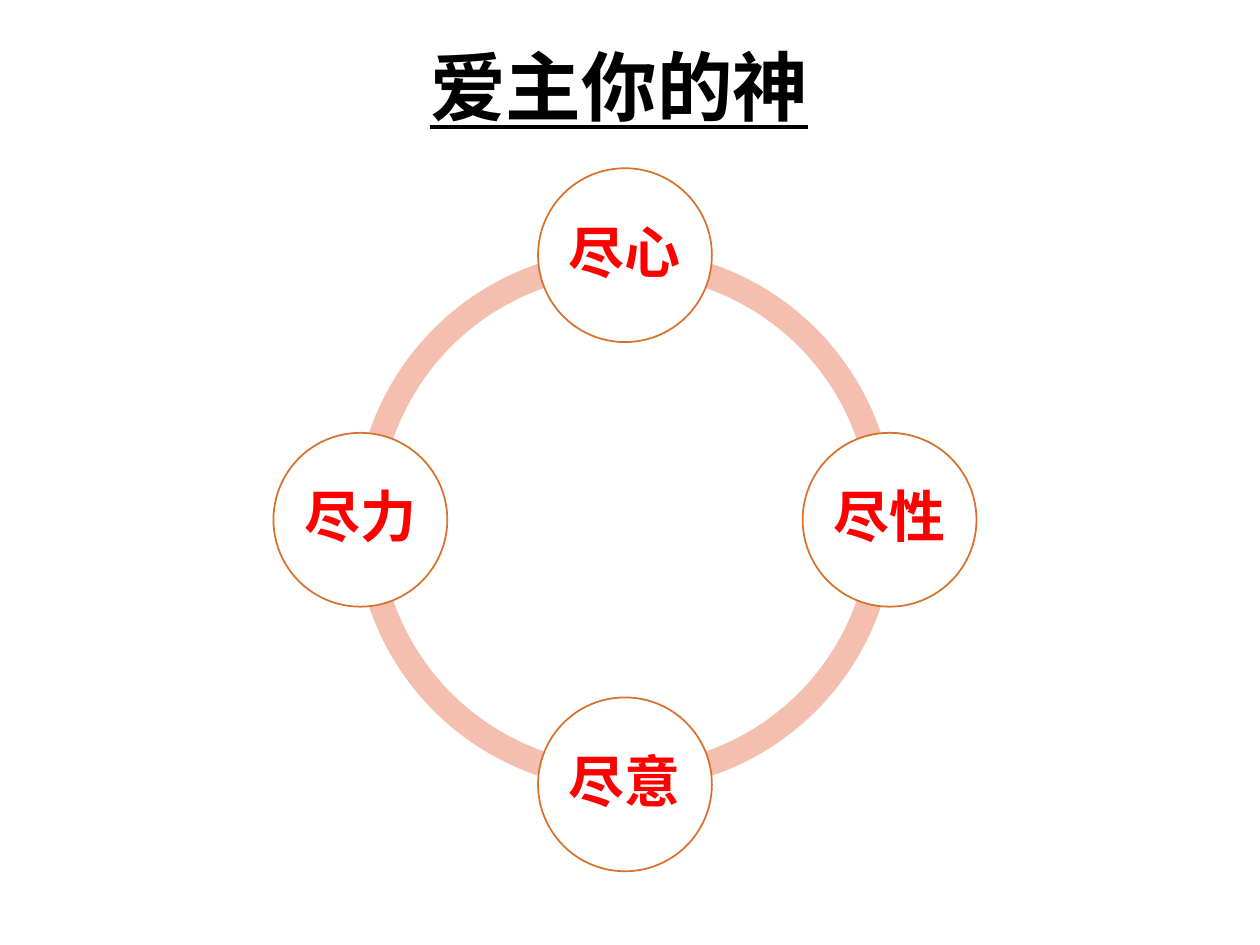
from math import cos, radians, sin
from typing import NamedTuple

from pptx import Presentation
from pptx.dml.color import RGBColor
from pptx.enum.shapes import MSO_SHAPE
from pptx.enum.text import MSO_ANCHOR, PP_ALIGN
from pptx.util import Inches, Pt

COLORS = {"title": "000000", "word": "FF0000", "node": "FFFFFF",
          "outline": "D7712C", "ring": "F4BFAE"}

SLIDE_W, SLIDE_H = Inches(10), Inches(7.5)

# Ring geometry, as shares of the slide's size
CENTER_X, CENTER_Y = 0.496 * SLIDE_W, 0.55 * SLIDE_H
ORBIT = 0.21 * SLIDE_W
NODE_SIZE = 0.138 * SLIDE_W
RING_SIZE = 0.429 * SLIDE_W
RING_THICKNESS = 0.046
ADJUSTMENT_PER_DEGREE = 0.6


class Node(NamedTuple):
    word: str
    angle: int  # degrees clockwise from the right


NODES = [Node("尽心", 270), Node("尽性", 0), Node("尽意", 90), Node("尽力", 180)]


def color(key: str) -> RGBColor:
    return RGBColor.from_string(COLORS[key])


def write(frame, text: str, font_name: str, size: float, color_key: str):
    frame.vertical_anchor = MSO_ANCHOR.MIDDLE
    paragraph = frame.paragraphs[0]
    paragraph.text = text
    paragraph.alignment = PP_ALIGN.CENTER
    paragraph.line_spacing = 0.9
    font = paragraph.font
    font.name, font.size, font.bold = font_name, Pt(size), True
    font.color.rgb = color(color_key)
    return paragraph


def add_centered(slide, preset: MSO_SHAPE, x: float, y: float, size: float,
                 fill: str):
    shape = slide.shapes.add_shape(preset, round(x - size / 2),
                                   round(y - size / 2), round(size), round(size))
    shape.shadow.inherit = False
    shape.fill.solid()
    shape.fill.fore_color.rgb = color(fill)
    return shape


def draw_arc(slide, start: int) -> None:
    arc = add_centered(slide, MSO_SHAPE.BLOCK_ARC, CENTER_X, CENTER_Y,
                       RING_SIZE, "ring")
    arc.line.fill.background()
    arc.adjustments[0] = start * ADJUSTMENT_PER_DEGREE
    arc.adjustments[1] = (start + 90) % 360 * ADJUSTMENT_PER_DEGREE
    arc.adjustments[2] = RING_THICKNESS


def draw_node(slide, node: Node) -> None:
    angle = radians(node.angle)
    circle = add_centered(slide, MSO_SHAPE.OVAL, CENTER_X + ORBIT * cos(angle),
                          CENTER_Y + ORBIT * sin(angle), NODE_SIZE, "node")
    circle.line.color.rgb = color("outline")
    circle.line.width = Pt(1)
    frame = circle.text_frame
    frame.word_wrap = False
    frame.margin_left = frame.margin_right = Inches(0.04)
    frame.margin_top = frame.margin_bottom = Inches(0.04)
    write(frame, node.word, "Calibri", 32, "word")


def draw_title(slide, text: str) -> None:
    box = slide.shapes.add_textbox(Inches(0.83), Inches(0.33),
                                   Inches(8.17), Inches(0.78))
    box.text_frame.word_wrap = True
    heading = write(box.text_frame, text, "Times New Roman", 43.2, "title")
    heading.font.underline = True


def main() -> None:
    prs = Presentation()
    prs.slide_width, prs.slide_height = SLIDE_W, SLIDE_H
    slide = prs.slides.add_slide(prs.slide_layouts[6])

    draw_title(slide, "爱主你的神")
    # Ring behind, nodes in front
    for node in NODES:
        draw_arc(slide, node.angle)
    for node in NODES:
        draw_node(slide, node)

    prs.save("out.pptx")


if __name__ == "__main__":
    main()
